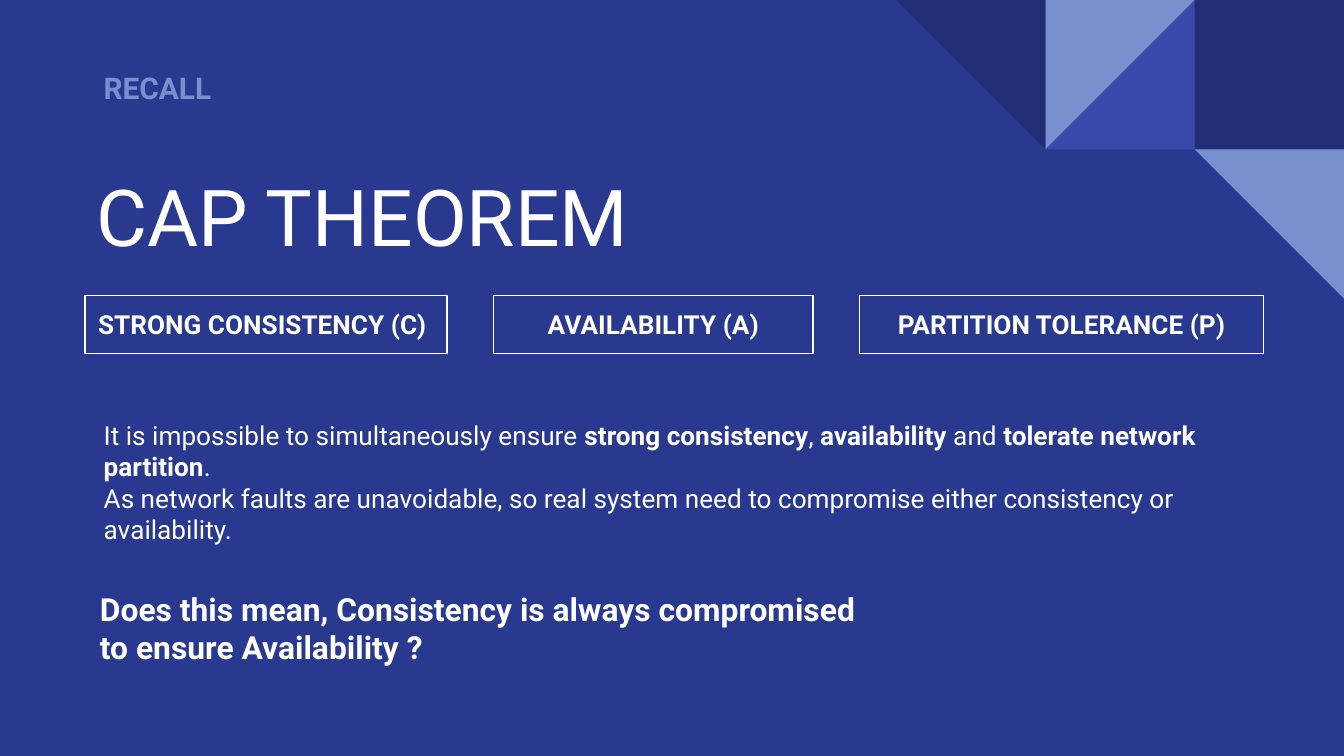
from pptx import Presentation
from pptx.dml.color import RGBColor
from pptx.enum.shapes import MSO_SHAPE as Shape
from pptx.enum.text import MSO_ANCHOR as Anchor, PP_ALIGN as Align
from pptx.util import Pt

FONT = "Roboto"
WHITE = RGBColor(0xFF, 0xFF, 0xFF)
BLUE = RGBColor(0x2A, 0x39, 0x90)
NAVY = RGBColor(0x21, 0x2D, 0x74)
INDIGO = RGBColor(0x39, 0x49, 0xAB)
SKY = RGBColor(0x78, 0x90, 0xCD)

WIDTH, HEIGHT = 720, 405
TILE = 80
INSET = 7.2
BOX_LEFT, BOX_TOP, BOX_HEIGHT, BOX_GAP = 45.5, 158.2, 31.2, 25

TILES = [
    (1, 0, Shape.RECTANGLE, 0, NAVY),
    (2, 0, Shape.RIGHT_TRIANGLE, 270, INDIGO),
    (2, 0, Shape.RIGHT_TRIANGLE, 90, SKY),
    (3, 0, Shape.RIGHT_TRIANGLE, 180, NAVY),
    (1, 1, Shape.RIGHT_TRIANGLE, 180, SKY),
]

PROPERTIES = [
    ("STRONG CONSISTENCY (C)", 194, Align.LEFT),
    ("AVAILABILITY (A)", 171, Align.CENTER),
    ("PARTITION TOLERANCE (P)", 216.5, Align.CENTER),
]

EXPLANATION = [
    [
        ("It is impossible to simultaneously ensure ", False),
        ("strong consistency", True),
        (", ", False),
        ("availability", True),
        (" and ", False),
        ("tolerate network partition", True),
        (".", False),
    ],
    [("As network faults are unavoidable, so real system need to compromise "
      "either consistency or availability.", False)],
]

QUESTION = [
    [("Does this mean, Consistency is always compromised", True)],
    [("to ensure Availability ?", True)],
]

TEXTS = [
    ((44.6, 82.1, 647, 66.2), [[("CAP THEOREM", False)]], 42, WHITE, Anchor.MIDDLE),
    ((48.5, 217.4, 628.6, 81.4), EXPLANATION, 14, WHITE, Anchor.TOP),
    ((48.5, 30.2, 150, 33.8), [[("RECALL", True)]], 16, SKY, Anchor.TOP),
    ((46.5, 308.9, 633.6, 55.4), QUESTION, 17, WHITE, Anchor.TOP),
]


def write_text(shape, paragraphs, size, color, anchor=Anchor.TOP, align=Align.LEFT):
    frame = shape.text_frame
    frame.word_wrap = True
    frame.vertical_anchor = anchor
    frame.margin_left = frame.margin_right = Pt(INSET)
    frame.margin_top = frame.margin_bottom = Pt(INSET)
    for index, runs in enumerate(paragraphs):
        paragraph = frame.add_paragraph() if index else frame.paragraphs[0]
        paragraph.alignment = align
        for text, bold in runs:
            run = paragraph.add_run()
            run.text = text
            run.font.name = FONT
            run.font.size = Pt(size)
            run.font.bold = bold
            run.font.color.rgb = color


def add_tile(slide, column, row, kind, rotation, color):
    shape = slide.shapes.add_shape(
        kind, Pt(WIDTH - column * TILE), Pt(row * TILE), Pt(TILE), Pt(TILE))
    shape.rotation = rotation
    shape.shadow.inherit = False
    shape.fill.solid()
    shape.fill.fore_color.rgb = color
    shape.line.fill.background()


def add_property_box(slide, left, width, label, align):
    shape = slide.shapes.add_shape(
        Shape.RECTANGLE, Pt(left), Pt(BOX_TOP), Pt(width), Pt(BOX_HEIGHT))
    shape.shadow.inherit = False
    shape.fill.background()
    shape.line.color.rgb = WHITE
    shape.line.width = Pt(0.75)
    write_text(shape, [[(label, True)]], 14, WHITE, align=align)


def main():
    presentation = Presentation()
    presentation.slide_width, presentation.slide_height = Pt(WIDTH), Pt(HEIGHT)
    slide = presentation.slides.add_slide(presentation.slide_layouts[6])
    slide.background.fill.solid()
    slide.background.fill.fore_color.rgb = BLUE

    for tile in TILES:
        add_tile(slide, *tile)

    left = BOX_LEFT
    for label, width, align in PROPERTIES:
        add_property_box(slide, left, width, label, align)
        left += width + BOX_GAP

    for position, paragraphs, size, color, anchor in TEXTS:
        shape = slide.shapes.add_textbox(*map(Pt, position))
        write_text(shape, paragraphs, size, color, anchor)

    presentation.save("out.pptx")


if __name__ == "__main__":
    main()
